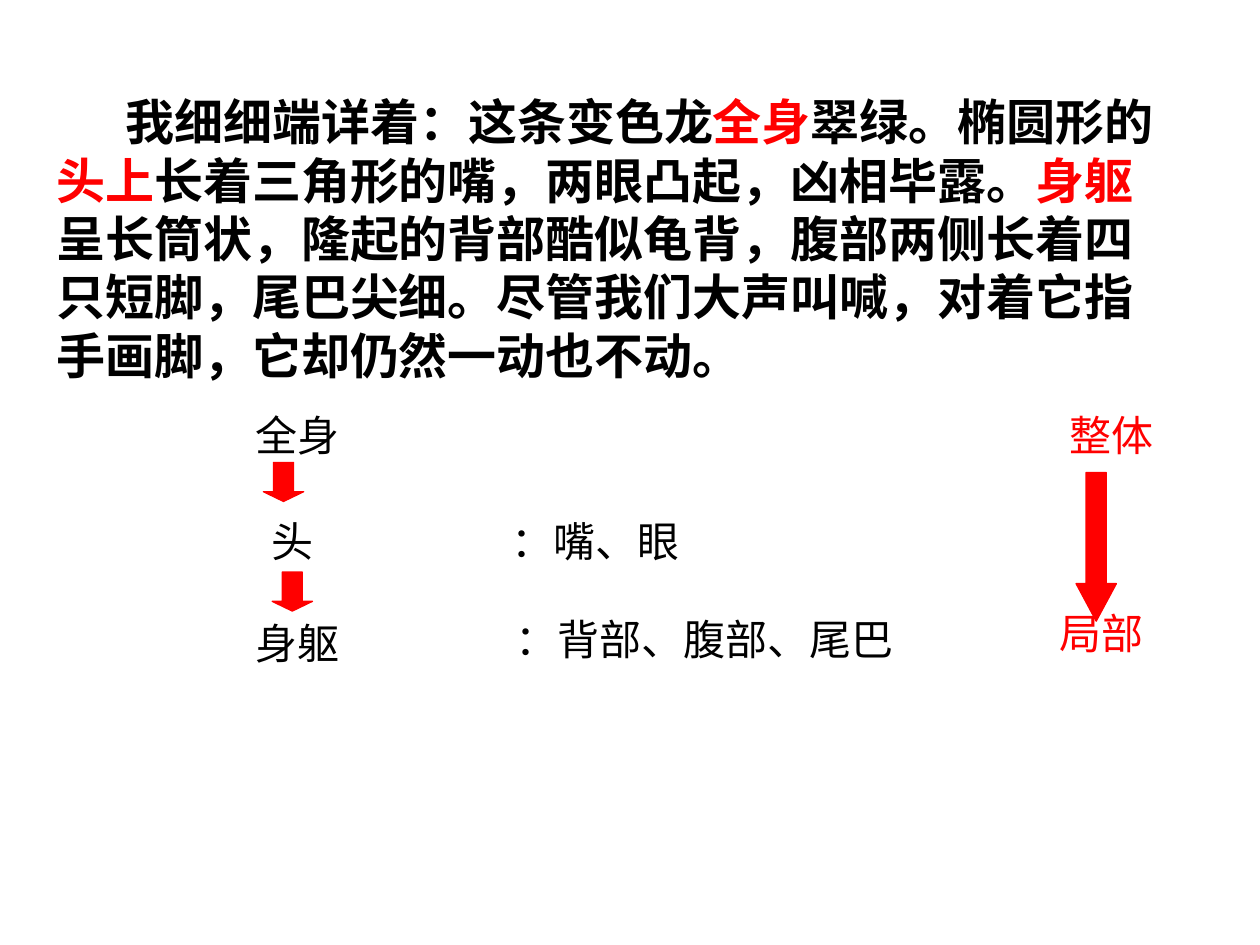
from lxml import etree
from pptx import Presentation
from pptx.dml.color import RGBColor
from pptx.enum.lang import MSO_LANGUAGE_ID
from pptx.enum.shapes import MSO_SHAPE
from pptx.enum.text import PP_ALIGN
from pptx.oxml.ns import qn
from pptx.util import Inches, Pt

CHINESE = MSO_LANGUAGE_ID.SIMPLIFIED_CHINESE
DOWN_ARROW = MSO_SHAPE.DOWN_ARROW
LEFT, CENTER = PP_ALIGN.LEFT, PP_ALIGN.CENTER
BLACK = RGBColor(0x00, 0x00, 0x00)
RED = RGBColor(0xFF, 0x00, 0x00)
CJK_FONT = "Noto Sans CJK JP"

presentation = Presentation()
presentation.slide_width = Inches(10)
presentation.slide_height = Inches(7.5)
slide = presentation.slides.add_slide(presentation.slide_layouts[6])


def add_text(runs, left, top, width, height, size=24, font=CJK_FONT, bold=False,
             wrap=False, align=CENTER, outline=True, top_inset=0.05):
    box = slide.shapes.add_textbox(Inches(left), Inches(top), Inches(width), Inches(height))
    frame = box.text_frame
    frame.word_wrap = wrap
    frame.margin_top = Inches(top_inset)
    paragraph = frame.paragraphs[0]
    paragraph.alignment = align
    for text, color in runs:
        run = paragraph.add_run()
        run.text = text
        run.font.size = Pt(size)
        run.font.name = font
        run.font.bold = bold
        run.font.language_id = CHINESE
        run.font.color.rgb = color
        properties = run.font._element
        east_asian = etree.Element(qn("a:ea"), typeface=CJK_FONT)
        properties.find(qn("a:latin")).addnext(east_asian)
        if outline:
            line = etree.Element(qn("a:ln"), w=str(Pt(0.75)))
            fill = etree.SubElement(line, qn("a:solidFill"))
            etree.SubElement(fill, qn("a:srgbClr"), val=str(color))
            properties.insert(0, line)
    return paragraph


passage = add_text(
    [
        ("我细细端详着：这条变色龙", BLACK),
        ("全身", RED),
        ("翠绿。椭圆形的", BLACK),
        ("头上", RED),
        ("长着三角形的嘴，两眼凸起，凶相毕露。", BLACK),
        ("身躯", RED),
        ("呈长筒状，隆起的背部酷似龟背，腹部两侧长着四只短脚，尾巴尖细。"
         "尽管我们大声叫喊，对着它指手画脚，它却仍然一动也不动。", BLACK),
    ],
    0.35, 0.39, 9.09, 2.7, size=28, font="Arial", bold=True,
    wrap=True, align=LEFT, outline=False, top_inset=0.34,
)
passage.line_spacing = Pt(33.4)
passage._p.get_or_add_pPr().set("indent", str(Inches(0.55)))

LABEL_HEIGHT = 0.5
labels = [
    ("全身", BLACK, 1.61, 3.2, 1.5),
    ("头", BLACK, 1.85, 4.04, 0.95),
    ("身躯", BLACK, 1.61, 4.85, 1.5),
    ("：嘴、眼", BLACK, 3.19, 4.04, 3.07),
    ("：背部、腹部、尾巴", BLACK, 3.19, 4.82, 4.8),
    ("整体", RED, 8.07, 3.2, 1.5),
    ("局部", RED, 7.99, 4.77, 1.5),
]
for text, color, left, top, width in labels:
    add_text([(text, color)], left, top, width, LABEL_HEIGHT)

ARROW_WIDTH = 0.32
arrows = [
    (2.09, 3.67, 0.31, 0.25),
    (2.16, 4.54, 0.31, 0.25),
    (8.54, 3.75, 1.18, 0.93),
]
for left, top, height, head in arrows:
    arrow = slide.shapes.add_shape(
        DOWN_ARROW, Inches(left), Inches(top), Inches(ARROW_WIDTH), Inches(height))
    arrow.adjustments[0] = 0.5
    arrow.adjustments[1] = head
    arrow.shadow.inherit = False
    arrow.fill.solid()
    arrow.fill.fore_color.rgb = RED
    arrow.line.color.rgb = RED
    arrow.line.width = Pt(0.75)

presentation.save("out.pptx")
